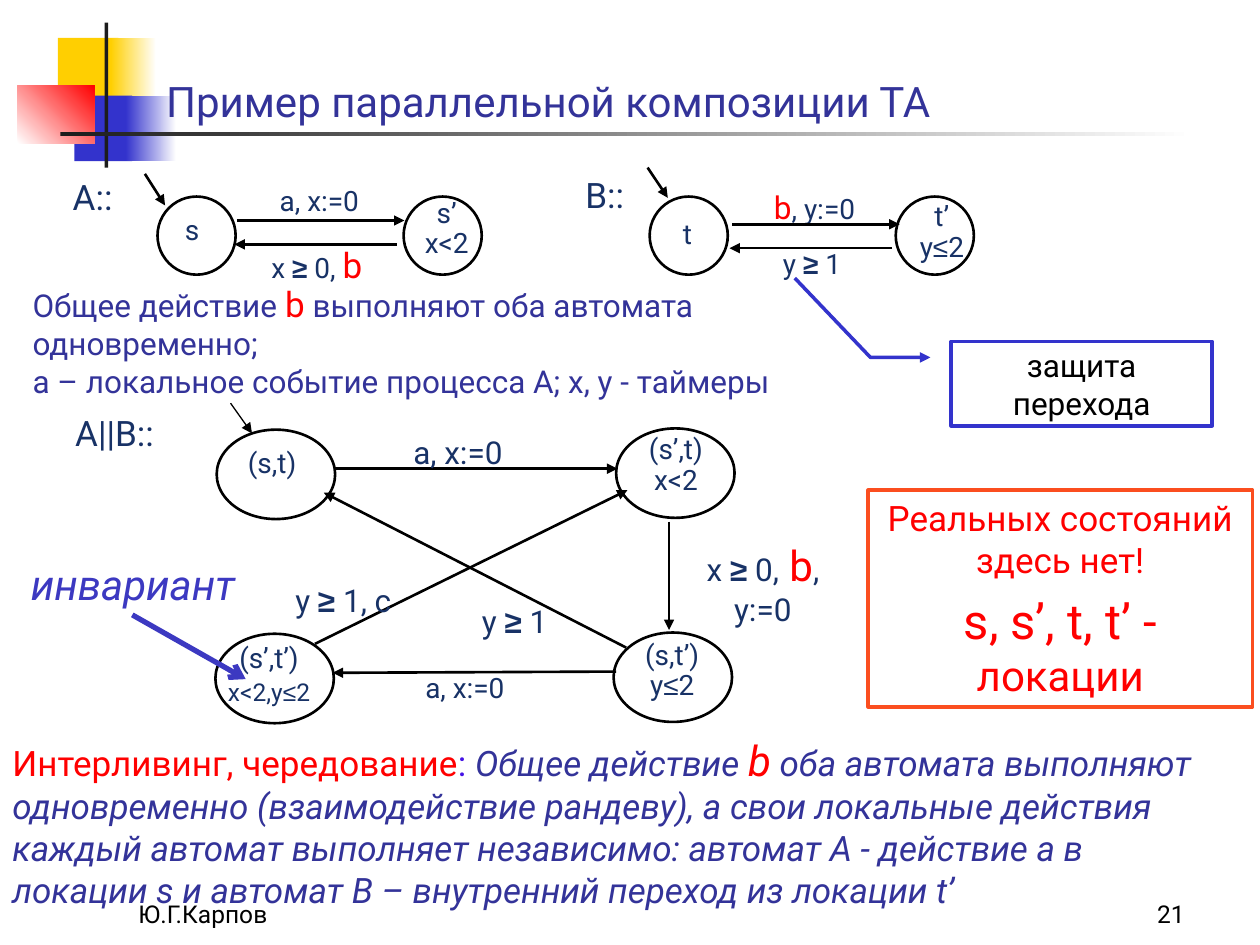
from itertools import groupby

from lxml import etree
from pptx import Presentation, dml, util as u
from pptx.dml import color
from pptx.enum import shapes, text
from pptx.oxml import ns

deck = Presentation()
deck.slide_width, deck.slide_height = u.Inches(10), u.Inches(7.5)
slide = deck.slides.add_slide(deck.slide_layouts[6])
cell = u.Inches(0.1)  # grid of 100 columns by 75 rows
hue = color.RGBColor.from_string
kinds, side, anchor = shapes.MSO_SHAPE, text.PP_ALIGN, text.MSO_ANCHOR
INK, NAVY, RED, BLUE, BLACK = "183266", "333399", "FF0000", "3333CC", "000000"
VIOLET = "3C39C1"
heads = []  # (shape, end tag, arrow type)


def box(x, y, w, h, *paras, align=side.CENTER, lead=None, kind=None,
        edge=(BLACK, 1.5), hold=anchor.TOP):
    """Text or outlined shape; a paragraph is a list of (text, size, colour[, italic])."""
    area = [round(v * cell) for v in (x, y, w, h)]
    if kind is None:
        shape = slide.shapes.add_textbox(*area)
    else:
        shape = slide.shapes.add_shape(kind, *area)
        shape.shadow.inherit = False
        shape.fill.background()
        shape.line.color.rgb, shape.line.width = hue(edge[0]), u.Pt(edge[1])
    frame = shape.text_frame
    frame.word_wrap, frame.vertical_anchor = True, hold
    for i, parts in enumerate(paras):
        para = frame.add_paragraph() if i else frame.paragraphs[0]
        para.alignment, para.line_spacing = align, lead
        if i:
            para.space_before = u.Pt(6)
        for words, size, tint, *slant in parts:
            # comparison signs and line breaks stand apart from plain text
            for mark, run in groupby(words, lambda c: c if c in "≥≤\n" else ""):
                if mark == "\n":
                    para.add_line_break()
                    continue
                piece = para.add_run()
                piece.text = "".join(run)
                font = piece.font
                font.name = "Arial" if mark else "Roboto"
                font.size, font.color.rgb = u.Pt(size), hue(tint)
                font.bold, font.italic = mark == "≥", bool(slant)
    return shape


def arrow(x1, y1, x2, y2, tint=BLACK, width=1.5, tip="triangle"):
    ends = [round(v * cell) for v in (x1, y1, x2, y2)]
    link = slide.shapes.add_connector(shapes.MSO_CONNECTOR.STRAIGHT, *ends)
    link.line.color.rgb, link.line.width = hue(tint), u.Pt(width)
    etree.SubElement(link.element.spPr, ns.qn("a:effectLst"))
    heads.append((link, "a:tailEnd", tip))


# Corner ornament and title rule: one colour is solid, two make a gradient
for x, y, w, h, tints, angle in [
    (4.6, 3, 4.8, 5.2, ["FFCF01"], 0),
    (8.8, 3, 3.6, 5.2, ["FFCF01", "FFFFFF"], 0),
    (5.9, 7.6, 4.6, 5.2, [BLUE], 0),
    (10, 7.6, 4, 5.2, [BLUE, "FFFFFF"], 0),
    (1.4, 6.8, 6.1, 4.6, ["FFFFFF", RED], 45),
    (8.3, 1.8, 0.3, 11.5, ["1C1C1C"], 0),
    (4.8, 10.5, 90, 0.3, ["1C1C1C", "FFFFFF"], 0),
]:
    block = box(x, y, w, h, kind=kinds.RECTANGLE)
    block.line.fill.background()
    if len(tints) == 1:
        block.fill.solid()
        block.fill.fore_color.rgb = hue(tints[0])
    else:
        block.fill.gradient()
        block.fill.gradient_angle = angle
        for stop, tint in zip(block.fill.gradient_stops, tints):
            stop.color.rgb = hue(tint)

# Footer and title
box(10, 69.2, 20.8, 5, [("Ю.Г.Карпов", 14, BLACK)], align=side.LEFT, hold=anchor.BOTTOM)
box(74.2, 69.2, 20.8, 5, [("21", 14, BLACK)], align=side.RIGHT, hold=anchor.BOTTOM)
box(12.2, 2.1, 87.8, 8.4, [("Пример параллельной композиции ТА", 24, NAVY)],
    align=side.LEFT, hold=anchor.BOTTOM)

# Automata A and B: same layout, the second moved right and slightly down
for dx, dy, one, two, there, back in [
    (0, 0, "s", "s’\nx<2", [("a, x:=0", 16, INK)],
     [("x ≥ 0, ", 16, INK), ("b", 20, RED)]),
    (39.3, 0.3, "t", "t’\ny≤2", [("b", 18, RED), (", y:=0", 16, INK)],
     [("y ≥ 1", 16, INK)]),
]:
    box(10.3 + dx, 16.4 + dy, 9.9, 3.7, [(one, 16, INK)])
    box(30.5 + dx, 15.3 + dy, 9.9, 5.8, [(two, 16, INK)], lead=0.9)
    box(19 + dx, 14.1 + dy, 12.7, 3.7, there)
    box(18.8 + dx, 18.8 + dy, 12.7, 4.4, back)
    arrow(18.8 + dx, 17.5 + dy, 32.1 + dx, 17.5 + dy)
    arrow(31.5 + dx, 19.4 + dy, 18.6 + dx, 19.4 + dy)
for i in range(4):
    box(12.5 + 19.53 * i, 15.6, 6.2, 6.2, kind=kinds.OVAL)
box(3.9, 13.4, 6.9, 4.4, [("A::", 20, INK)])
box(44.5, 13.3, 7, 4.4, [("B::", 20, INK)])
arrow(11.5, 13.8, 13.1, 16.3)
arrow(51.4, 13.3, 53, 15.7)

# Composition A||B: states
for x, y in [(17.2, 34.1), (48.9, 34), (48.7, 50.2), (17.1, 50.3)]:
    box(x, y, 9.4, 7.1, kind=kinds.OVAL)
for x, y, w, h, lead, parts in [
    (16.4, 35.2, 10.4, 3.4, 0.9, [("(s,t)", 16, INK)]),
    (48.5, 34.1, 10.3, 5.8, 0.9, [("(s’,t)\nx<2", 16, INK)]),
    (48.2, 50.4, 10.3, 5.8, 0.9, [("(s,t’)\ny≤2", 16, INK)]),
    (15.4, 50.1, 11.9, 6.9, 1.1, [("(s’,t’)\n", 16, INK), ("x<2,y≤2", 14, INK)]),
]:
    box(x, y, w, h, parts, lead=lead)

# Composition A||B: transitions and their labels
for ends in [(26.6, 37.2, 49, 37.2), (48.9, 53.3, 26.4, 53.4), (53.1, 41.4, 53.1, 50),
             (25, 51.1, 49.8, 38.9), (49.7, 51.4, 25.7, 39.1)]:
    arrow(*ends)
arrow(18.3, 32, 20, 34.4, width=0.75)
for x, y, w, parts in [
    (29.7, 33.9, 13.3, [("a, x:=0", 18, INK)]),
    (30.2, 52.7, 13.4, [("a, x:=0", 16, INK)]),
    (53.9, 42.3, 13.3, [("x ≥ 0,", 18, INK), (" b", 24, RED), (", y:=0", 18, INK)]),
    (20.6, 45.6, 13.3, [("y ≥ 1, c", 18, INK)]),
    (34.2, 47.3, 13.3, [("y ≥ 1", 18, INK)]),
    (3.1, 32.2, 12, [("А||B::", 20, INK)]),
]:
    box(x, y, w, 4, parts)

# Explanations
box(1.6, 21.9, 69.5, 10.4,
    [("Общее действие ", 18, NAVY), ("b", 20, RED),
     (" выполняют оба автомата одновременно;\n"
      "а – локальное событие процесса А; x, y - таймеры", 18, NAVY)], align=side.LEFT)
box(0, 57.8, 96.9, 18.4,
    [("Интерливинг, чередование", 20, RED), (": ", 20, "4412E6"),
     ("Общее действие ", 20, NAVY, True), ("b", 24, RED, True),
     (" оба автомата выполняют одновременно (взаимодействие рандеву), а свои локальные "
      "действия каждый автомат выполняет независимо: автомат А - действие а в локации s "
      "и автомат В – внутренний переход из локации t’", 20, NAVY, True)], align=side.LEFT)

# Callout and boxed remark
note = box(75.5, 27.1, 20.7, 6.7, [("защита перехода", 18, BLACK)],
           kind=kinds.LINE_CALLOUT_2, edge=(BLUE, 2), hold=anchor.MIDDLE)
for i, share in enumerate([0.19, -0.08, 0.19, -0.31, -0.75, -0.6]):
    note.adjustments[i] = share
heads.append((note, "a:headEnd", "triangle"))
box(68.9, 38.9, 30.5, 17.2, [("Реальных состояний здесь нет!", 20, RED)],
    [("s, s’, t, t’ - ", 28, RED), ("локации", 24, RED)],
    kind=kinds.RECTANGLE, edge=("FB4E1F", 2))

# Invariant pointer
box(0, 43.8, 21.1, 5, [("инвариант", 24, VIOLET, True)])
arrow(10.5, 48.8, 19.5, 53.9, VIOLET, 3, "arrow")

# Arrowheads
for shape, tag, tip in heads:
    line = shape.element.spPr.find(ns.qn("a:ln"))
    etree.SubElement(line, ns.qn(tag), type=tip)

deck.save("out.pptx")
